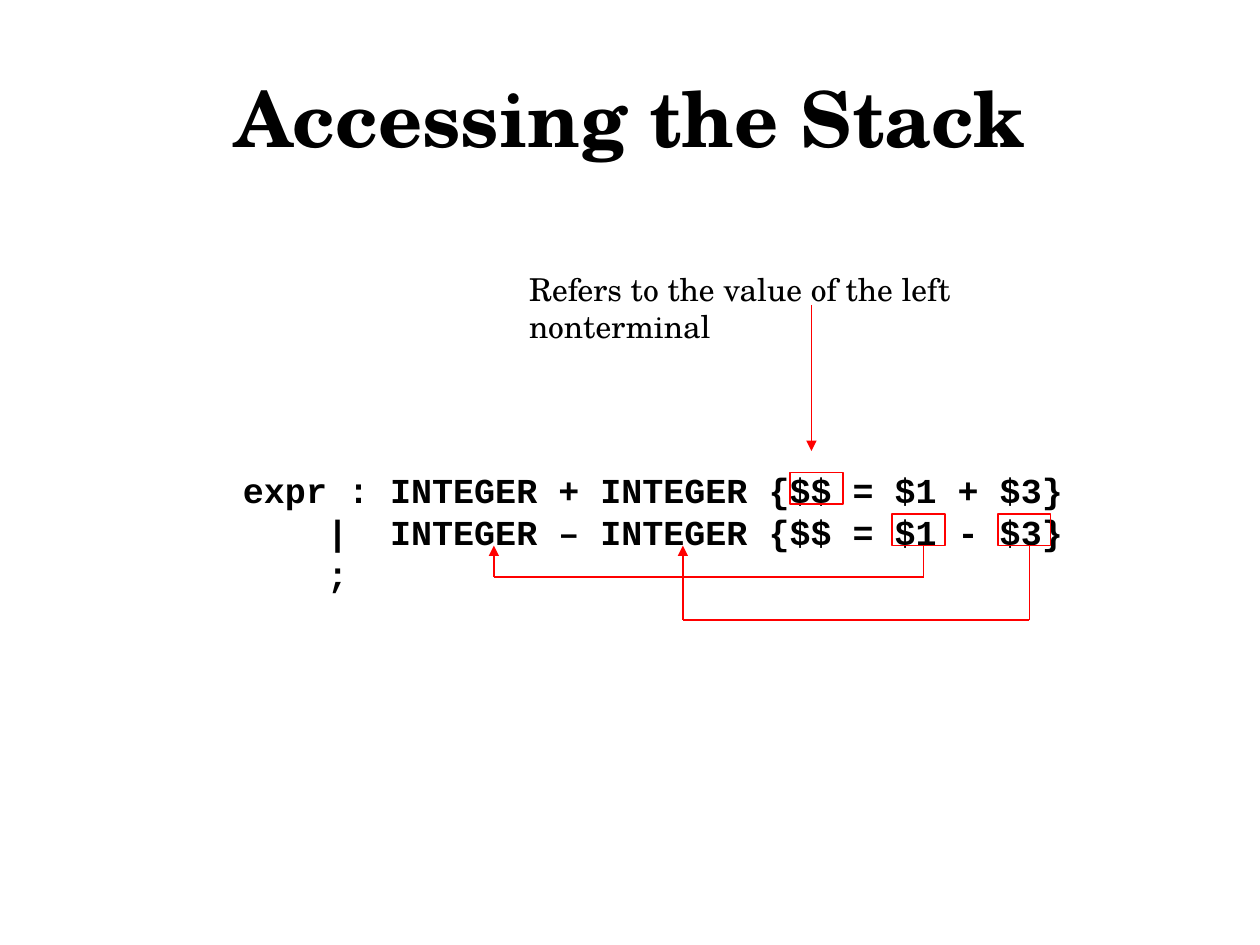
from itertools import pairwise
from pptx import Presentation
from pptx.dml.color import RGBColor
from pptx.enum import shapes, text
from pptx.oxml import parse_xml
from pptx.oxml.ns import nsdecls
from pptx.util import Inches, Pt

COLORS = {"ink": "000000", "mark": "FF0000", "edge": "FFFFFF"}
SERIF, MONO = "TeX Gyre Schola", "Courier New"
TITLE = ["Accessing the Stack"]
NOTE = ["Refers to the value of the left nonterminal"]
RULES = [
    "expr : INTEGER + INTEGER {$$ = $1 + $3}",
    "    |  INTEGER \u2013 INTEGER {$$ = $1 - $3}",
    "    ;",
]
BOX = (0.42, 0.25)
ROW = 4.33
MARKS = [
    {"box": (6.27, 3.75), "route": [(6.44, 2.42), (6.44, 3.58)],
     "note": (4.1, 2.09, 4.81, 0.4)},
    {"box": (7.08, 4.08),
     "route": [(7.33, ROW), (7.33, 4.58), (3.92, 4.58), (3.92, ROW)]},
    {"box": (7.92, 4.08),
     "route": [(8.17, ROW), (8.17, 4.92), (5.42, 4.92), (5.42, ROW)]},
]


def color(key):
    return RGBColor.from_string(COLORS[key])


def stroke(item, key="mark"):
    item.line.color.rgb = color(key)
    item.line.width = Pt(0.75)


def frame(host, place, key="mark"):
    rect = host.add_shape(shapes.MSO_SHAPE.RECTANGLE, *map(Inches, place))
    rect.shadow.inherit = False
    rect.fill.background()
    stroke(rect, key)
    return rect


def write(item, lines, font, size, bold=False,
          align=text.PP_ALIGN.LEFT, anchor=text.MSO_ANCHOR.TOP):
    body = item.text_frame
    body.word_wrap = True
    body.margin_right = 0 if font == MONO else Inches(0.1)
    body.vertical_anchor = anchor
    body.text = "\n".join(lines)
    for para in body.paragraphs:
        para.alignment = align
        para.font.name = font
        para.font.size = Pt(size)
        para.font.bold = bold
        para.font.color.rgb = color("ink")


def link(host, start, end, head):
    line = host.add_connector(shapes.MSO_CONNECTOR.STRAIGHT,
                              *map(Inches, start + end))
    stroke(line)
    if head:
        line.line._get_or_add_ln().append(
            parse_xml(f'<a:tailEnd {nsdecls("a")} type="triangle"/>'))
    line._element.spPr.append(parse_xml(f'<a:effectLst {nsdecls("a")}/>'))


def mark(host, box, route, note=None):
    frame(host, box + BOX)
    if note:
        write(host.add_textbox(*map(Inches, note)), NOTE, SERIF, 18)
    for start, end in pairwise(route):
        link(host, start, end, end == route[-1])


deck = Presentation()
deck.slide_width, deck.slide_height = Inches(10), Inches(7.5)
slide = deck.slides.add_slide(deck.slide_layouts[6])
title = slide.shapes.add_textbox(*map(Inches, (0.5, 0.3, 9, 1.25)))
write(title, TITLE, SERIF, 44, bold=True,
      align=text.PP_ALIGN.CENTER, anchor=text.MSO_ANCHOR.MIDDLE)
code = frame(slide.shapes, (1.83, 3.67, 6.71, 1.11), "edge")
write(code, RULES, MONO, 20, bold=True)
for item in MARKS:
    mark(slide.shapes.add_group_shape().shapes, **item)
deck.save("out.pptx")
